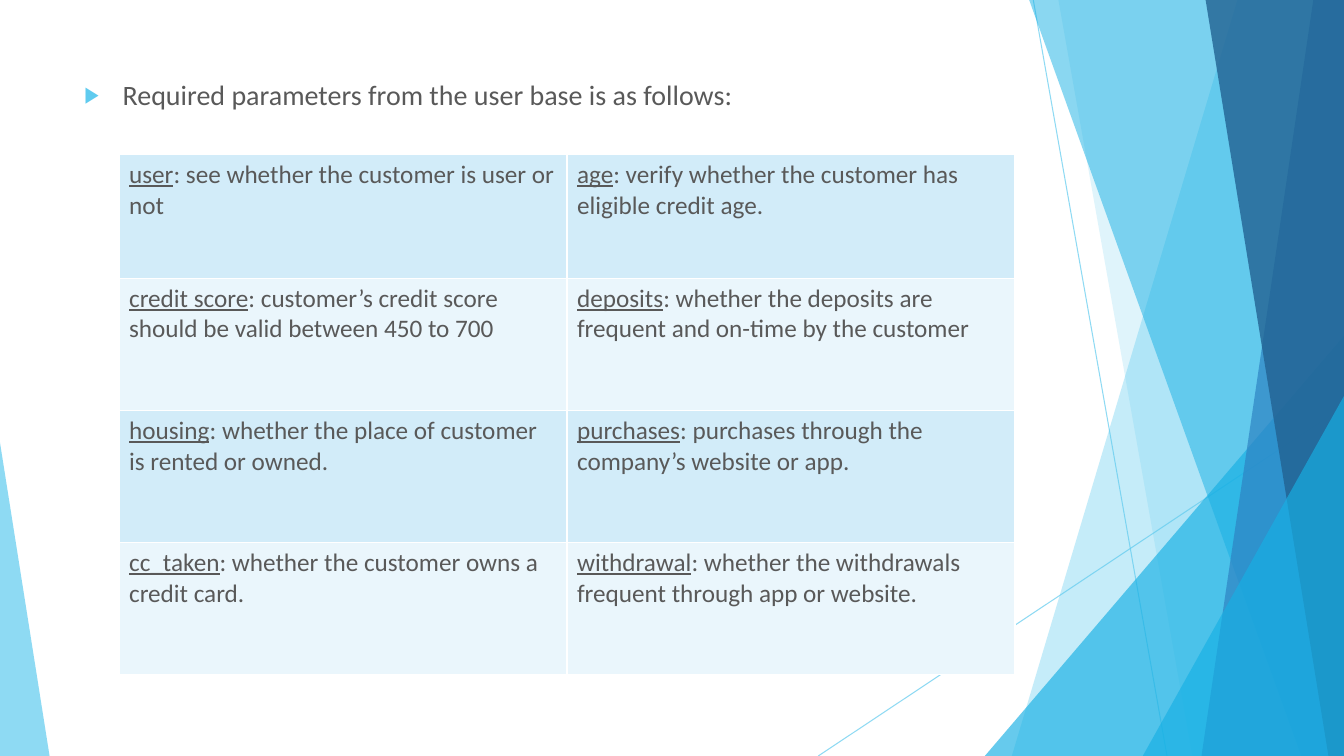
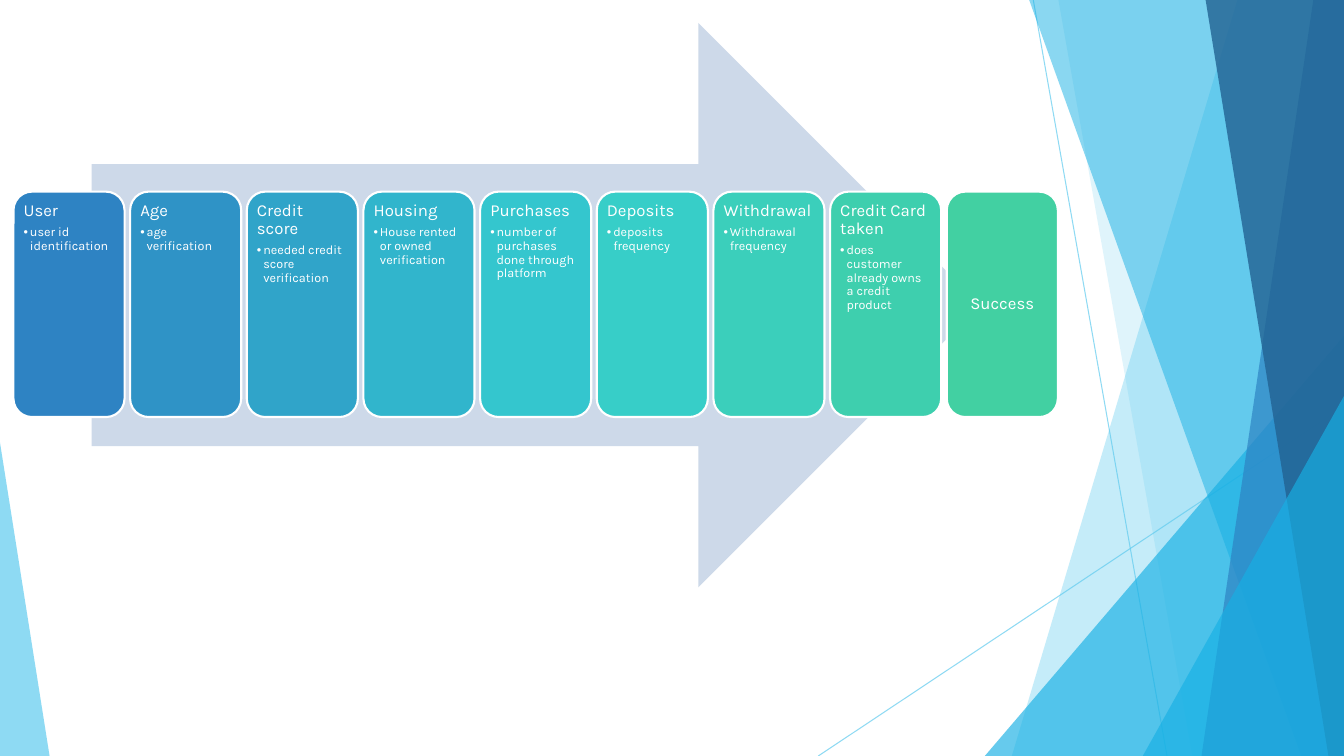
from dataclasses import dataclass
from typing import Optional

from pptx import Presentation
from pptx.dml.color import RGBColor
from pptx.enum.shapes import MSO_CONNECTOR as Link, MSO_SHAPE as Form
from pptx.enum.text import MSO_ANCHOR as Anchor, PP_ALIGN as Align
from pptx.oxml import parse_xml
from pptx.oxml.ns import nsdecls, qn
from pptx.util import Cm, Pt
from lxml.etree import SubElement

# Colours
WHITE = RGBColor(0xFF, 0xFF, 0xFF)
GREY = RGBColor(0x59, 0x59, 0x59)
SKY = RGBColor(0x5F, 0xCB, 0xEF)
CYAN = RGBColor(0x17, 0xB0, 0xE4)
BLUE = RGBColor(0x2E, 0x83, 0xC3)
NAVY = RGBColor(0x22, 0x62, 0x92)
PALE = RGBColor(0xCD, 0xD9, 0xE9)
ROWS = (RGBColor(0xD2, 0xEC, 0xF9), RGBColor(0xEA, 0xF6, 0xFC))

# Slide size and top of the bands, in cm
WIDE, HIGH, TOP = 33.87, 19.05, -0.02


@dataclass
class Ray:
    x1: float
    y1: float
    x2: float
    y2: float


@dataclass
class Band:
    """Slanted left edge, running to the right side of the slide."""
    top: float
    foot: float
    tint: RGBColor
    alpha: int


@dataclass
class Wedge:
    """Triangle standing on the bottom of the slide."""
    left: float
    top: float
    right: float
    peak: int
    tint: RGBColor
    alpha: int


@dataclass
class Field:
    name: str
    note: str


@dataclass
class Step:
    head: str
    note: Optional[str]
    tint: RGBColor


RAYS = (Ray(26.04, 0, 29.41, HIGH), Ray(WIDE, 10.24, 20.62, HIGH))
FACETS = (
    Band(31.19, 25.5, SKY, 36),
    Band(26.67, 30.05, SKY, 20),
    Wedge(24.82, 8.46, WIDE, 1, CYAN, 66),
    Band(25.93, 32.79, CYAN, 50),
    Band(33.1, 30.28, BLUE, 70),
    Band(30.38, 33.48, NAVY, 80),
    Wedge(28.8, 9.98, WIDE, 1, CYAN, 66),
    Wedge(0, 11.15, 1.25, 0, SKY, 70),
)
FIELDS = (
    (Field("user", "see whether the customer is user or not"),
     Field("age", "verify whether the customer has eligible credit age.")),
    (Field("credit score", "customer’s credit score should be valid between 450 to 700"),
     Field("deposits", "whether the deposits are frequent and on-time by the customer")),
    (Field("housing", "whether the place of customer is rented or owned."),
     Field("purchases", "purchases through the company’s website or app.")),
    (Field("cc_taken", "whether the customer owns a credit card."),
     Field("withdrawal", "whether the withdrawals frequent through app or website.")),
)
STEPS = (
    Step("User", "user id identification", BLUE),
    Step("Age", "age verification", RGBColor(0x2F, 0x93, 0xC6)),
    Step("Credit score", "needed credit score verification", RGBColor(0x30, 0xA4, 0xC9)),
    Step("Housing", "House rented or owned verification", RGBColor(0x31, 0xB5, 0xCC)),
    Step("Purchases", "number of purchases done through platform",
         RGBColor(0x34, 0xC6, 0xCE)),
    Step("Deposits", "deposits frequency", RGBColor(0x37, 0xCE, 0xC8)),
    Step("Withdrawal", "Withdrawal frequency", RGBColor(0x3B, 0xCF, 0xBB)),
    Step("Credit Card taken", "does customer already owns a credit product",
         RGBColor(0x3E, 0xCF, 0xAE)),
    Step("Success", None, RGBColor(0x42, 0xD0, 0xA2)),
)


# Helpers
def fade(shape, alpha: int) -> None:
    for tone in shape.element.spPr.iter(qn("a:srgbClr")):
        SubElement(tone, qn("a:alpha")).set("val", str(alpha * 1000))


def paint(shape, tint: RGBColor) -> None:
    shape.shadow.inherit = False
    shape.fill.solid()
    shape.fill.fore_color.rgb = tint
    shape.line.fill.background()


def write(para, text: str, face: str, size: float, tint: RGBColor,
          under: bool = False) -> None:
    run = para.add_run()
    run.text = text
    font = run.font
    font.name, font.size, font.underline = face, Pt(size), under
    font.color.rgb = tint


def bullet(para, sign: str, inset: float, tint: RGBColor, scale: int) -> None:
    props = para._p.get_or_add_pPr()
    props.set("marL", str(Cm(inset)))
    props.set("indent", str(-Cm(inset)))
    hue = SubElement(SubElement(props, qn("a:buClr")), qn("a:srgbClr"))
    hue.set("val", str(tint))
    SubElement(props, qn("a:buSzPct")).set("val", str(scale * 1000))
    SubElement(props, qn("a:buFont")).set("typeface", "Arial")
    SubElement(props, qn("a:buChar")).set("char", sign)


def edge(cell) -> None:
    props = cell._tc.get_or_add_tcPr()
    for spot, side in enumerate(("lnL", "lnR", "lnT", "lnB")):
        props.insert(spot, parse_xml(
            f'<a:{side} {nsdecls("a")} w="{Pt(1)}"><a:solidFill>'
            f'<a:srgbClr val="{WHITE}"/></a:solidFill></a:{side}>'))


# Shared backdrop
def draw_ray(shapes, ray: Ray) -> None:
    line = shapes.add_connector(Link.STRAIGHT, Cm(ray.x1), Cm(ray.y1),
                                Cm(ray.x2), Cm(ray.y2))
    line.line.color.rgb = SKY
    line.line.width = Pt(0.75)
    SubElement(line.element.spPr, qn("a:effectLst"))
    fade(line, 70)


def draw_band(shapes, band: Band):
    path = shapes.build_freeform(Cm(band.top), Cm(TOP))
    path.add_line_segments([(Cm(WIDE), Cm(TOP)), (Cm(WIDE), Cm(HIGH)),
                            (Cm(band.foot), Cm(HIGH))], close=True)
    return path.convert_to_shape()


def draw_wedge(shapes, wedge: Wedge):
    shape = shapes.add_shape(Form.ISOSCELES_TRIANGLE, Cm(wedge.left), Cm(wedge.top),
                             Cm(wedge.right - wedge.left), Cm(HIGH - wedge.top))
    shape.adjustments[0] = wedge.peak
    return shape


def draw_back(slide) -> None:
    """Draw the backdrop, then hand it to the layout that all slides use."""
    shapes = slide.shapes
    for ray in RAYS:
        draw_ray(shapes, ray)
    for facet in FACETS:
        draw = draw_band if isinstance(facet, Band) else draw_wedge
        shape = draw(shapes, facet)
        paint(shape, facet.tint)
        fade(shape, facet.alpha)
    layout = slide.slide_layout
    for holder in list(layout.placeholders):
        layout.shapes.element.remove(holder.element)
    for shape in list(shapes):
        layout.shapes.element.append(shape.element)


# Slide 1: parameters
def draw_lead(slide, text: str) -> None:
    frame = slide.shapes.add_textbox(Cm(1.88), Cm(0.61), Cm(23.88), Cm(17)).text_frame
    frame.word_wrap = True
    frame.margin_top = Cm(1.35)
    para = frame.paragraphs[0]
    bullet(para, "▶", 0.96, SKY, 80)
    write(para, text, "Calibri", 20, GREY)


def draw_grid(slide) -> None:
    tall = [3.12] + [3.33] * 3
    table = slide.shapes.add_table(len(FIELDS), 2, Cm(3), Cm(3.89),
                                   Cm(22.58), Cm(sum(tall))).table
    table.first_row = table.horz_banding = False
    for col in table.columns:
        col.width = Cm(11.29)
    for r, pair in enumerate(FIELDS):
        table.rows[r].height = Cm(tall[r])
        for c, field in enumerate(pair):
            cell = table.cell(r, c)
            cell.fill.solid()
            cell.fill.fore_color.rgb = ROWS[r % 2]
            edge(cell)
            para = cell.text_frame.paragraphs[0]
            write(para, field.name, "Calibri", 18, GREY, True)
            write(para, ": " + field.note, "Calibri", 18, GREY)


# Slide 2: process
def draw_arrow(slide) -> None:
    arrow = slide.shapes.add_shape(Form.RIGHT_ARROW, Cm(2.31), Cm(0.58),
                                   Cm(22.4), Cm(14.22))
    paint(arrow, PALE)


def draw_step(slide, rank: int, step: Step) -> None:
    card = slide.shapes.add_shape(Form.ROUNDED_RECTANGLE, Cm(0.34 + 2.94 * rank),
                                  Cm(4.83), Cm(2.8), Cm(5.68))
    paint(card, step.tint)
    card.line.color.rgb = WHITE
    card.line.width = Pt(1.5)
    frame = card.text_frame
    frame.word_wrap = True
    frame.margin_left = frame.margin_right = Cm(0.12)
    frame.margin_top = frame.margin_bottom = Cm(0.12)
    frame.vertical_anchor = Anchor.TOP if step.note else Anchor.MIDDLE
    head = frame.paragraphs[0]
    head.alignment = Align.LEFT if step.note else Align.CENTER
    head.line_spacing = 0.9
    head.space_after = Pt(4.2)
    write(head, step.head, "Karla", 12, WHITE)
    if step.note:
        note = frame.add_paragraph()
        note.level = 1
        note.alignment = Align.LEFT
        note.line_spacing = 0.9
        note.space_after = Pt(1.35)
        bullet(note, "•", 0.16, WHITE, 100)
        write(note, step.note, "Karla", 9, WHITE)


def main() -> None:
    deck = Presentation()
    deck.slide_width, deck.slide_height = Cm(WIDE), Cm(HIGH)
    blank = deck.slide_layouts[6]

    first = deck.slides.add_slide(blank)
    draw_back(first)
    draw_lead(first, "Required parameters from the user base is as follows:")
    draw_grid(first)

    second = deck.slides.add_slide(blank)
    draw_arrow(second)
    for rank, step in enumerate(STEPS):
        draw_step(second, rank, step)

    deck.save("out.pptx")


main()
